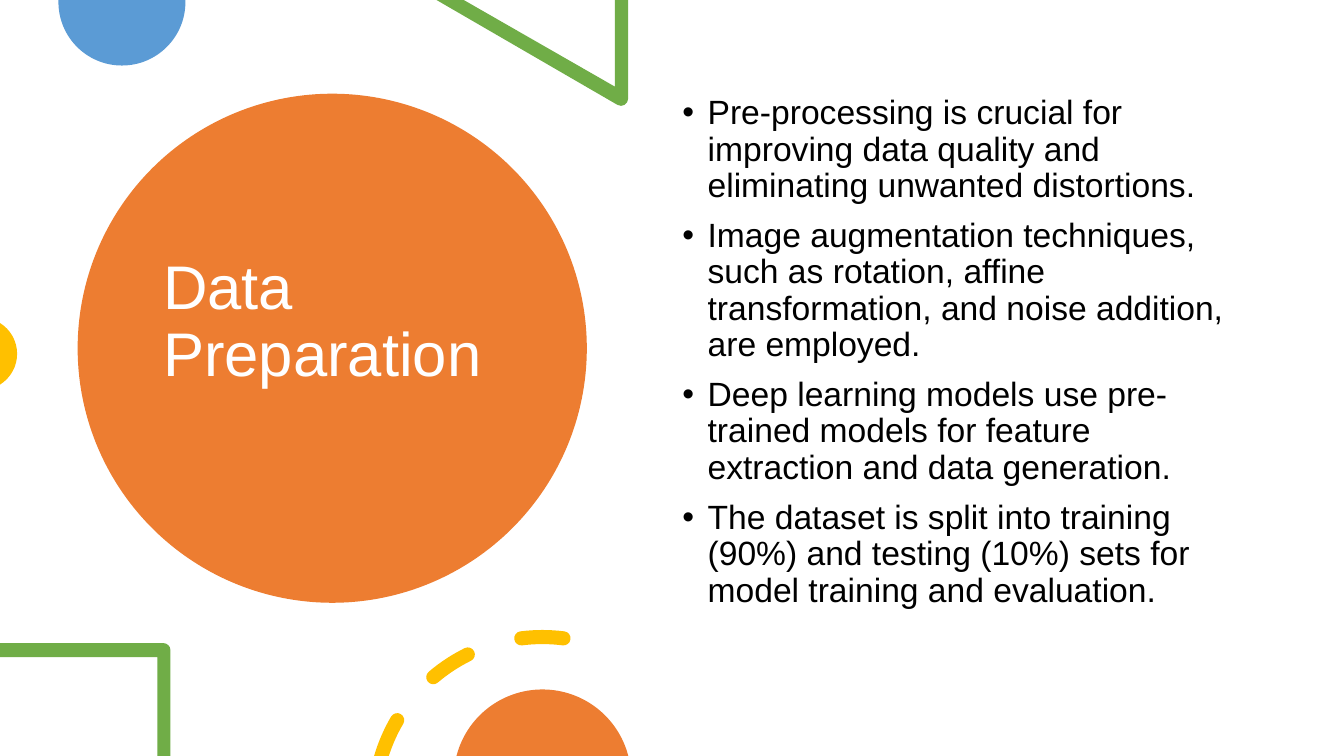
from math import asin, ceil, cos, degrees, dist, radians, sin, tan

from lxml import etree
from pptx import Presentation
from pptx.dml.color import RGBColor
from pptx.enum.shapes import MSO_SHAPE as SHAPE
from pptx.enum.text import MSO_ANCHOR as ANCHOR, PP_ALIGN as ALIGN
from pptx.oxml.ns import qn
from pptx.util import Inches, Pt

WIDTH, HEIGHT = 13.33, 7.5
COLORS = {"orange": "ED7D31", "blue": "5B9BD5", "green": "70AD47",
          "yellow": "FFC000", "white": "FFFFFF", "black": "000000"}
TITLE = "Data Preparation"
POINTS = [
    "Pre-processing is crucial for improving data quality and eliminating unwanted distortions.",
    "Image augmentation techniques, such as rotation, affine transformation, and noise addition, "
    "are employed.",
    "Deep learning models use pre-trained models for feature extraction and data generation.",
    "The dataset is split into training (90%) and testing (10%) sets for model training and "
    "evaluation.",
]


def rgb(name):
    return RGBColor.from_string(COLORS[name])


def paint(shape, color):
    shape.shadow.inherit = False
    shape.fill.solid()
    shape.fill.fore_color.rgb = rgb(color)
    shape.line.fill.background()


def on_circle(cx, cy, r, angle):
    return cx + r * cos(radians(angle)), cy + r * sin(radians(angle))


def arc(cx, cy, r, start, end):
    """Steps of an arc, clockwise degrees: one point, then Bezier curves of three points."""
    count = ceil(abs(end - start) / 90)
    sweep = (end - start) / count
    pull = 4 / 3 * tan(radians(sweep / 4))
    steps = [[on_circle(cx, cy, r, start)]]
    for i in range(count):
        a, b = start + i * sweep, start + (i + 1) * sweep
        (x1, y1), (x2, y2) = on_circle(cx, cy, r, a), on_circle(cx, cy, r, b)
        steps.append([(x1 - pull * (y1 - cy), y1 + pull * (x1 - cx)),
                      (x2 + pull * (y2 - cy), y2 - pull * (x2 - cx)), (x2, y2)])
    return steps


def lines(*points):
    return [[p] for p in points]


def add_outline(s, box, contours, color):
    """Draw closed contours, given relative to the box, as one freeform."""
    x0, y0 = box[:2]
    builder, sizes = None, []
    for steps in contours:
        kept = [steps[0]]
        for step in steps[1:]:
            if len(step) == 3 or dist(step[0], kept[-1][-1]) > 0.005:
                kept.append(step)
        sizes += [len(step) for step in kept[1:]]
        first, *rest = [(Inches(x0 + x), Inches(y0 + y)) for step in kept for x, y in step]
        if builder is None:
            builder = s.shapes.build_freeform(*first)
        else:
            builder.move_to(*first)
        builder.add_line_segments(rest, close=True)
    shape = builder.convert_to_shape()
    # Join each three points of a curve into one Bezier segment
    segments = iter(list(shape._element.iter(qn("a:lnTo"))))
    for size in sizes:
        group = [next(segments) for _ in range(size)]
        if size == 3:
            curve = etree.Element(qn("a:cubicBezTo"))
            group[0].addprevious(curve)
            for segment in group:
                curve.append(segment[0])
                segment.getparent().remove(segment)
    paint(shape, color)


def add_text(s, box, texts, color, size, space_before=0, anchor=ANCHOR.TOP):
    tf = s.shapes.add_textbox(*map(Inches, box)).text_frame
    frame = {"word_wrap": True, "vertical_anchor": anchor}
    for name, value in frame.items():
        setattr(tf, name, value)
    para = {"alignment": ALIGN.LEFT, "line_spacing": 0.9, "space_before": Pt(space_before)}
    font = {"name": "Arial", "size": Pt(size)}
    for i, text in enumerate(texts):
        p = tf.paragraphs[0] if i == 0 else tf.add_paragraph()
        for name, value in para.items():
            setattr(p, name, value)
        r = p.add_run()
        r.text = text
        for name, value in font.items():
            setattr(r.font, name, value)
        r.font.color.rgb = rgb(color)
    return tf


def add_title(s, box):
    x, y = box[:2]
    paint(s.shapes.add_shape(SHAPE.OVAL, *map(Inches, box)), "orange")
    tf = add_text(s, (x + 0.75, y + 0.42, 3.54, 4.45), [TITLE], "white", 44,
                  anchor=ANCHOR.MIDDLE)
    tf.margin_bottom = Inches(0.79)  # lifts the title above the middle


def add_bullets(s, box):
    tf = add_text(s, box, POINTS, "black", 24, space_before=10)
    for p in tf.paragraphs:
        pPr = p._p.get_or_add_pPr()
        pPr.set("marL", str(Inches(0.25)))
        pPr.set("indent", str(-Inches(0.25)))
        etree.SubElement(pPr, qn("a:buFont")).set("typeface", "Arial")
        etree.SubElement(pPr, qn("a:buChar")).set("char", "•")


def dash(cx, cy, r, half, start, end, cut=None):
    """A thick arc with round ends; cut is the height of a flat start."""
    if cut is None:
        outer = inner = start
        cap = arc(*on_circle(cx, cy, r, start), half, start + 180, start + 360)
    else:
        outer, inner = (180 + degrees(asin((cy - cut) / q)) for q in (r + half, r - half))
        cap = []
    return (arc(cx, cy, r + half, outer, end)
            + arc(*on_circle(cx, cy, r, end), half, end, end + 180)
            + arc(cx, cy, r - half, end, inner) + cap)


def add_top_decor(s, box):
    # Half disc and corner of a triangle, cut by the top edge
    add_outline(s, box, [lines((0.58, 0), (1.84, 0)) + arc(1.21, 0.02, 0.63, 0, 180)], "blue")
    triangle = lines((6.23, 0), (6.1, 0), (6.1, 0.86), (4.6, 0), (4.33, 0))
    add_outline(s, box, [triangle + arc(6.16, 0.98, 0.07, 120, 0)], "green")


def add_left_decor(s, box):
    # Disc cut by the left edge
    add_outline(s, box, [arc(-0.19, 0.3, 0.36, -58, 58)], "yellow")


def add_bottom_decor(s, box):
    h = box[3]
    # Corner of a square frame
    frame = lines((0, 0.13), (0, 0.27), (1.56, 0.27), (1.56, h), (1.69, h))
    add_outline(s, box, [frame + arc(1.62, 0.2, 0.07, 0, -90)], "green")
    # Dashed ring around a disc
    ring = (5.38, 1.74, 1.67, 0.07)
    dashes = [dash(*ring, 197, 210.4, cut=h), dash(*ring, 229.6, 243.7),
              dash(*ring, 262.8, 277.2)]
    add_outline(s, box, dashes, "yellow")
    tilt = degrees(asin(0.22 / 0.88))
    add_outline(s, box, [arc(5.38, h + 0.22, 0.88, 180 + tilt, 360 - tilt)], "orange")


def main():
    prs = Presentation()
    prs.slide_width, prs.slide_height = Inches(WIDTH), Inches(HEIGHT)
    s = prs.slides.add_slide(prs.slide_layouts[6])
    s.background.fill.solid()
    s.background.fill.fore_color.rgb = rgb("white")
    add_title(s, (0.77, 0.93, 5.05, 5.05))
    add_top_decor(s, (0, 0, 6.23, 1.05))
    add_left_decor(s, (0, 3.21, 0.17, 0.6))
    add_bullets(s, (6.67, 0.9, 5.75, 5.35))
    add_bottom_decor(s, (0, 6.25, 6.23, 1.25))
    prs.save("out.pptx")


if __name__ == "__main__":
    main()
